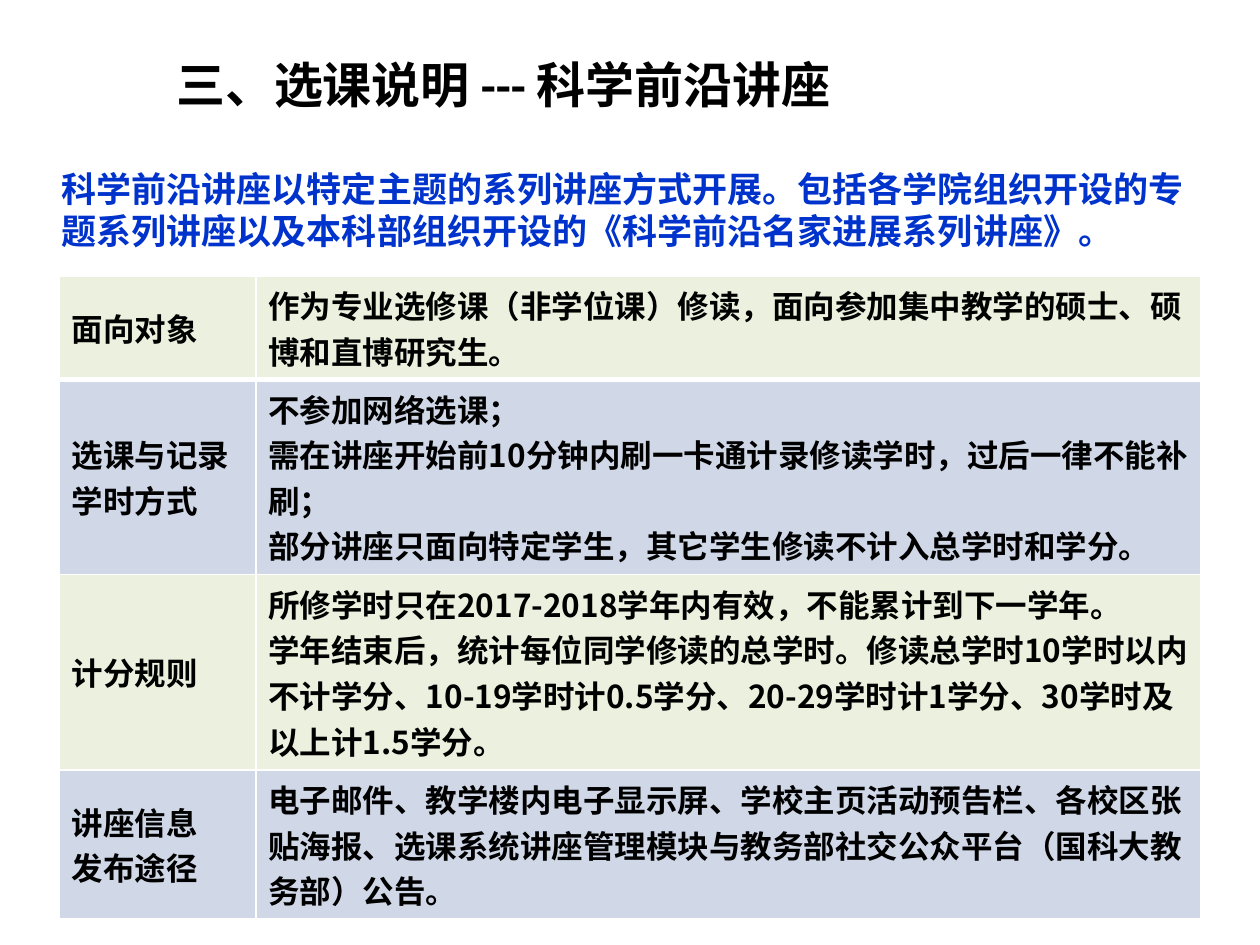
from lxml.etree import SubElement
from pptx import Presentation
from pptx.dml.color import RGBColor
from pptx.enum.text import MSO_ANCHOR
from pptx.oxml.ns import qn
from pptx.util import Inches, Pt

HUES = {"ink": "000000", "blue": "0033CC", "green": "EBF1DE",
        "slate": "D0D8E8", "white": "FFFFFF"}
FONT = "Noto Sans CJK SC"
ROWS = [
    (0.82, ["面向对象"],
     ["作为专业选修课（非学位课）修读，面向参加集中教学的硕士、硕博和直博研究生。"]),
    (1.55, ["选课与记录", "学时方式"],
     ["不参加网络选课；",
      "需在讲座开始前10分钟内刷一卡通计录修读学时，过后一律不能补刷；",
      "部分讲座只面向特定学生，其它学生修读不计入总学时和学分。"]),
    (1.55, ["计分规则"],
     ["所修学时只在2017-2018学年内有效，不能累计到下一学年。",
      "学年结束后，统计每位同学修读的总学时。修读总学时10学时以内不计学分、"
      "10-19学时计0.5学分、20-29学时计1学分、30学时及以上计1.5学分。"]),
    (1.18, ["讲座信息", "发布途径"],
     ["电子邮件、教学楼内电子显示屏、学校主页活动预告栏、各校区张贴海报、"
      "选课系统讲座管理模块与教务部社交公众平台（国科大教务部）公告。"]),
]


def write(frame, lines, size, hue="ink", face=FONT):
    frame.word_wrap = True
    for i, line in enumerate(lines):
        para = frame.paragraphs[0] if i == 0 else frame.add_paragraph()
        run = para.add_run()
        run.text = line
        font = run.font
        font.name, font.size, font.bold = face, Pt(size), True
        font.color.rgb = RGBColor.from_string(HUES[hue])
        SubElement(run._r.get_or_add_rPr(), qn("a:ea"), typeface=FONT)


def edge(cell, side, width):
    line = SubElement(cell._tc.get_or_add_tcPr(), qn("a:" + side), w=str(Pt(width)))
    fill = SubElement(line, qn("a:solidFill"))
    SubElement(fill, qn("a:srgbClr"), val=HUES["white"])


deck = Presentation()
deck.slide_width, deck.slide_height = Inches(10), Inches(7.5)
slide = deck.slides.add_slide(deck.slide_layouts[6])

title = slide.shapes.add_textbox(Inches(1.3), Inches(0.17), Inches(8.28), Inches(0.99))
title.text_frame.vertical_anchor = MSO_ANCHOR.MIDDLE
write(title.text_frame, ["三、选课说明 --- 科学前沿讲座"], 28, face="Calibri")

intro = slide.shapes.add_textbox(Inches(0.39), Inches(1.28), Inches(9.22), Inches(0.8))
write(intro.text_frame,
      ["科学前沿讲座以特定主题的系列讲座方式开展。包括各学院组织开设的专题系列讲座"
       "以及本科部组织开设的《科学前沿名家进展系列讲座》。"], 20, "blue")

high = sum(row[0] for row in ROWS)
table = slide.shapes.add_table(len(ROWS), 2, Inches(0.47), Inches(2.19),
                               Inches(9.06), Inches(high)).table
for col, width in zip(table.columns, (1.56, 7.5)):
    col.width = Inches(width)
for r, (tall, *texts) in enumerate(ROWS):
    table.rows[r].height = Inches(tall)
    for c, lines in enumerate(texts):
        cell = table.cell(r, c)
        cell.vertical_anchor = MSO_ANCHOR.TOP if c else MSO_ANCHOR.MIDDLE
        write(cell.text_frame, lines, 18)
        for side in ("lnL", "lnR", "lnT", "lnB"):
            thick = (r, side) in ((0, "lnB"), (1, "lnT"))
            edge(cell, side, 3 if thick else 1)
        cell.fill.solid()
        cell.fill.fore_color.rgb = RGBColor.from_string(HUES["slate" if r % 2 else "green"])

deck.save("out.pptx")
